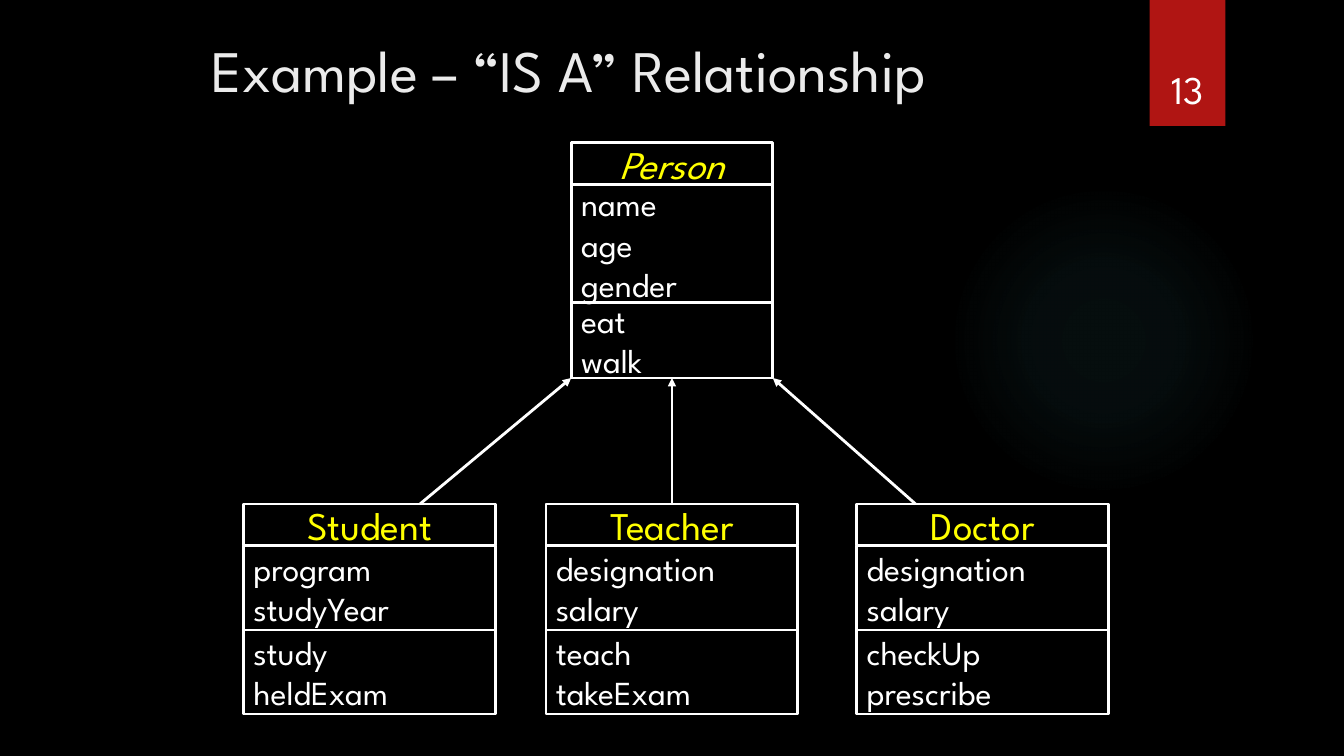
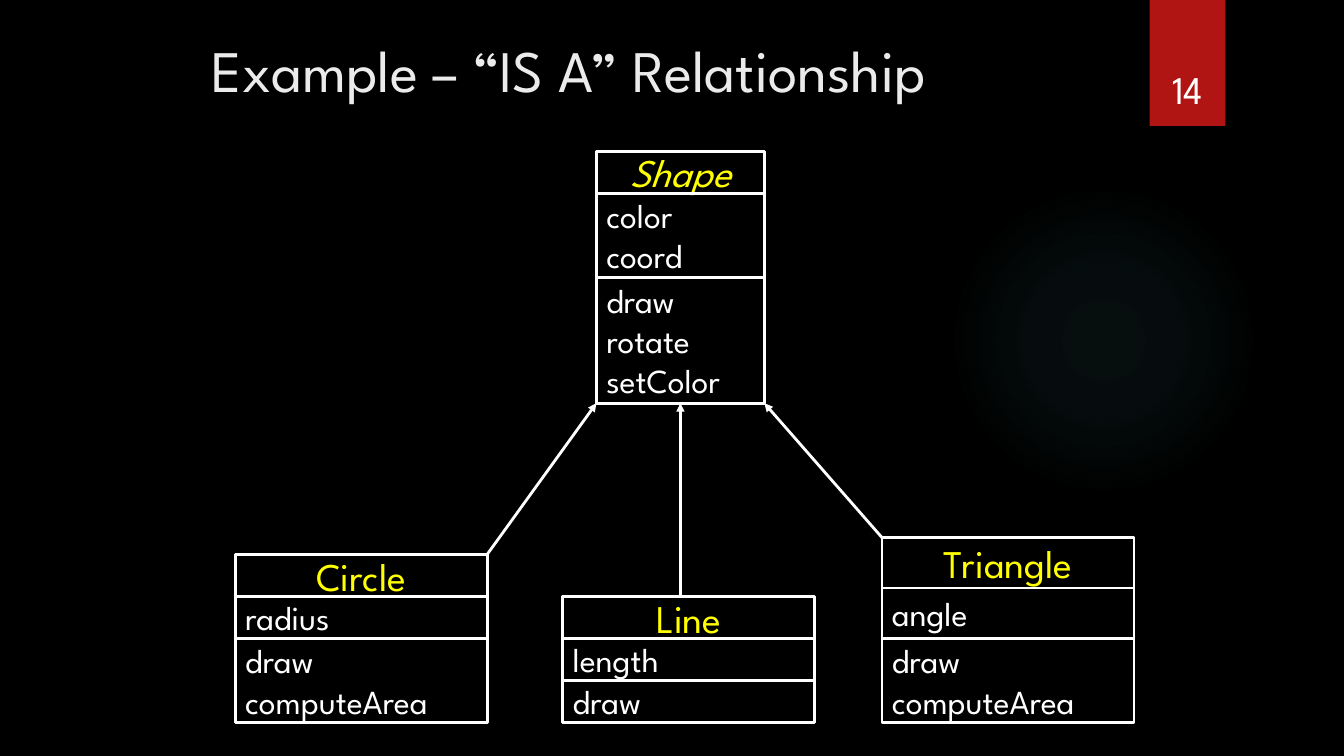
from pptx import Presentation
from pptx.dml.color import RGBColor
from pptx.enum.shapes import MSO_CONNECTOR as Connector, MSO_SHAPE as Preset
from pptx.enum.text import MSO_ANCHOR as Anchor, MSO_AUTO_SIZE as AutoSize, PP_ALIGN as Align
from pptx.oxml import parse_xml
from pptx.oxml.ns import nsdecls, qn
from pptx.util import Emu, Pt

EMU_PER_PX = 9525
COLORS = {
    "background": "000000",
    "title": "EBEBEB",
    "band": "B01513",
    "glow": "50B9C1",
    "line": "FFFFFF",
    "member": "FFFFFF",
    "class": "FFFF00",
}
FONT = "League Spartan"
TITLE = "Example – “IS A” Relationship"
GLOW_STOPS = [(0, 7), (36, 6), (69, 0)]


def px(*lengths):
    return [Emu(length * EMU_PER_PX) for length in lengths]


def rgb(name):
    return RGBColor.from_string(COLORS[name])


class Diagram:
    def __init__(self):
        self.deck = Presentation()
        self.deck.slide_width, self.deck.slide_height = px(1280, 720)
        fill = self.deck.slide_master.background.fill
        fill.solid()
        fill.fore_color.rgb = rgb("background")
        self.slide = None

    def add_slide(self, number):
        self.slide = self.deck.slides.add_slide(self.deck.slide_layouts[5])
        self.glow(903, 176, 296)
        band = self.shape(Preset.RECTANGLE, 1095, 0, 72, 120)
        band.fill.solid()
        band.fill.fore_color.rgb = rgb("band")
        band.line.fill.background()
        self.title(TITLE)
        page_box = self.slide.shapes.add_textbox(*px(1087, 31, 88, 81))
        self.set_text(page_box, [str(number)], "member", 28, Align.CENTER, Anchor.BOTTOM)

    def title(self, text):
        box = self.slide.shapes.title
        box.left, box.top, box.width, box.height = px(192, 24, 897, 84)
        self.set_text(box, [text], "title", 42)

    def shape(self, preset, left, top, width, height):
        shape = self.slide.shapes.add_shape(preset, *px(left, top, width, height))
        shape.shadow.inherit = False
        return shape

    def glow(self, left, top, size):
        """Draw a circle that fades out from its centre."""
        circle = self.shape(Preset.OVAL, left, top, size, size)
        circle.line.fill.background()
        stops = "".join(
            f'<a:gs pos="{position * 1000}"><a:srgbClr val="{COLORS["glow"]}">'
            f'<a:alpha val="{opacity * 1000}"/></a:srgbClr></a:gs>'
            for position, opacity in GLOW_STOPS
        )
        gradient = parse_xml(
            f'<a:gradFill {nsdecls("a")}><a:gsLst>{stops}</a:gsLst><a:path path="circle">'
            '<a:fillToRect l="50000" t="50000" r="50000" b="50000"/></a:path></a:gradFill>'
        )
        circle.element.spPr.find(qn("a:prstGeom")).addnext(gradient)

    def set_text(self, box, lines, color, size, align=Align.LEFT, anchor=Anchor.MIDDLE, italic=False):
        frame = box.text_frame
        frame_format = {"word_wrap": True, "auto_size": AutoSize.NONE, "vertical_anchor": anchor}
        for name, value in frame_format.items():
            setattr(frame, name, value)
        frame.text = "\n".join(lines)
        font_format = {"name": FONT, "size": Pt(size), "italic": italic}
        for para in frame.paragraphs:
            para.alignment = align
            for span in para.runs:
                for name, value in font_format.items():
                    setattr(span.font, name, value)
                span.font.color.rgb = rgb(color)

    def class_box(self, left, top, width, heights, name, fields, methods, abstract=False):
        """Stack name, fields and methods; return the box's left, top, width and bottom."""
        styles = [
            ([name], {"color": "class", "size": 28, "align": Align.CENTER, "italic": abstract}),
            (fields, {"color": "member", "size": 24}),
            (methods, {"color": "member", "size": 24}),
        ]
        bottom = top
        for height, (lines, style) in zip(heights, styles):
            box = self.shape(Preset.RECTANGLE, left, bottom, width, height)
            box.fill.background()
            self.outline(box)
            self.set_text(box, lines, **style)
            bottom += height
        return left, top, width, bottom

    def outline(self, item):
        item.line.color.rgb = rgb("line")
        item.line.width = Pt(2)

    def arrow(self, start, end):
        arrow = self.slide.shapes.add_connector(Connector.STRAIGHT, *px(*start, *end))
        self.outline(arrow)
        properties = arrow.element.spPr
        properties.find(qn("a:ln")).append(parse_xml(f'<a:tailEnd {nsdecls("a")} type="triangle"/>'))
        properties.append(parse_xml(f'<a:effectLst {nsdecls("a")}/>'))

    def hierarchy(self, number, parent, children):
        """Spread the arrows of the children over the bottom edge of the parent."""
        self.add_slide(number)
        left, _, width, bottom = self.class_box(*parent, abstract=True)
        for index, (start, child) in enumerate(children):
            _, top, _, _ = self.class_box(*child)
            self.arrow((start, top), (left + index * width // 2, bottom))


def main():
    diagram = Diagram()
    rows = (40, 80, 80)
    diagram.hierarchy(
        13,
        (544, 136, 192, (40, 112, 72), "Person", ["name", "age", "gender"], ["eat", "walk"]),
        [
            (400, (232, 480, 240, rows, "Student", ["program", "studyYear"], ["study", "heldExam"])),
            (640, (520, 480, 240, rows, "Teacher", ["designation", "salary"], ["teach", "takeExam"])),
            (872, (816, 480, 240, rows, "Doctor", ["designation", "salary"], ["checkUp", "prescribe"])),
        ],
    )
    diagram.hierarchy(
        14,
        (568, 144, 160, (40, 80, 120), "Shape", ["color", "coord"], ["draw", "rotate", "setColor"]),
        [
            (464, (224, 528, 240, (40, 40, 80), "Circle", ["radius"], ["draw", "computeArea"])),
            (648, (536, 568, 240, (40, 40, 40), "Line", ["length"], ["draw"])),
            (840, (840, 512, 240, (48, 48, 80), "Triangle", ["angle"], ["draw", "computeArea"])),
        ],
    )
    diagram.deck.save("out.pptx")


if __name__ == "__main__":
    main()
